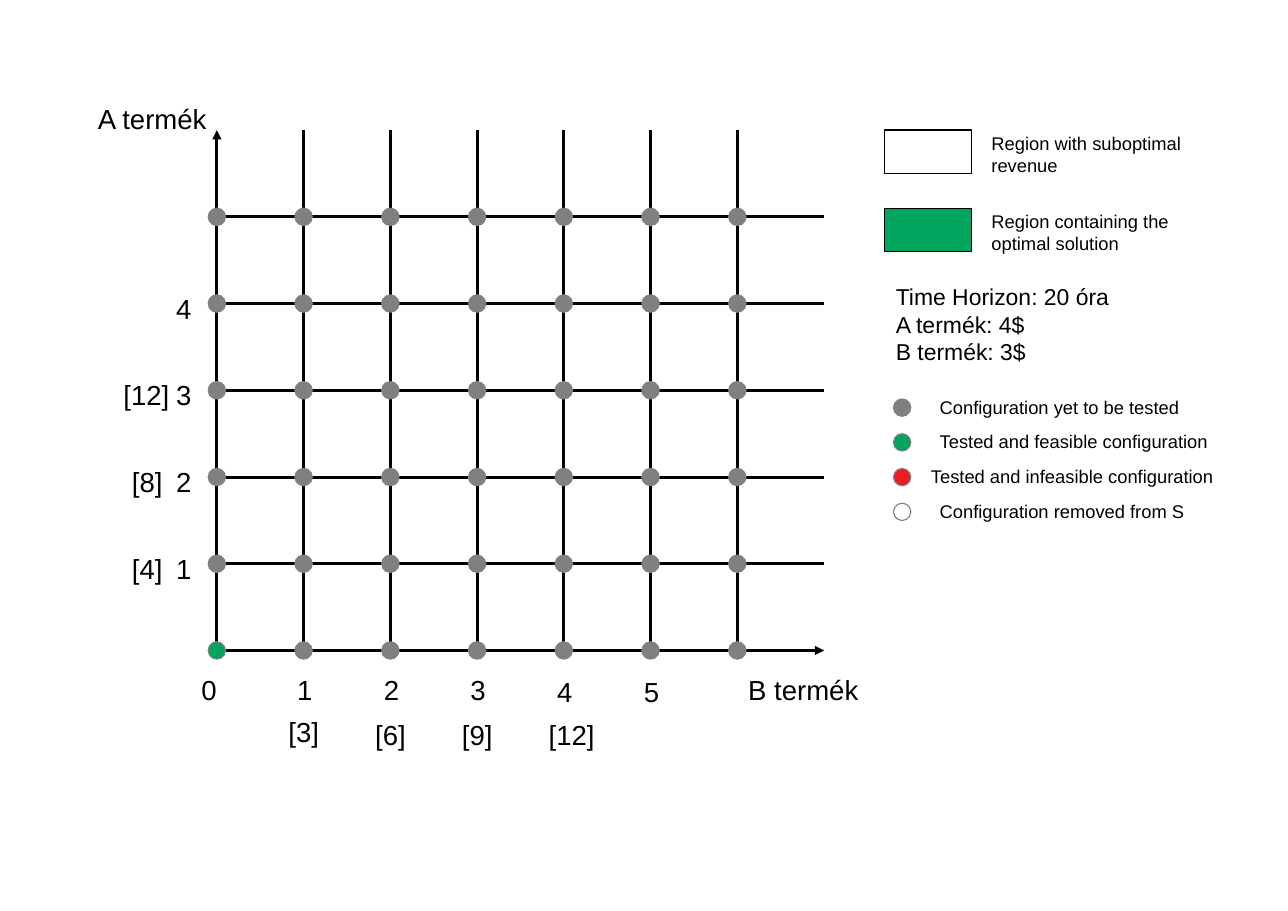
from dataclasses import dataclass

from lxml import etree
from pptx import Presentation
from pptx.dml.color import RGBColor
from pptx.enum.shapes import MSO_CONNECTOR, MSO_SHAPE
from pptx.oxml.ns import qn
from pptx.util import Pt

STRAIGHT = MSO_CONNECTOR.STRAIGHT
ELLIPSE = MSO_SHAPE.OVAL
RECTANGLE = MSO_SHAPE.RECTANGLE


@dataclass(frozen=True)
class Theme:
    font: str = "Arial"
    black: RGBColor = RGBColor(0, 0, 0)
    white: RGBColor = RGBColor(255, 255, 255)
    gray: RGBColor = RGBColor(0x80, 0x80, 0x80)
    green: RGBColor = RGBColor(0x00, 0xA6, 0x5D)
    red: RGBColor = RGBColor(0xED, 0x1C, 0x24)
    axis_size: int = 18
    facts_size: int = 15
    legend_size: int = 12


THEME = Theme()
STEP = 56.69
ORIGIN_X, ORIGIN_Y = 141.73, 425.2
AXIS_TOP, AXIS_RIGHT = 85.04, 538.58
COLUMNS, ROWS = 6, 5
DOT = 11.34

presentation = Presentation()
presentation.slide_width = Pt(841.68)
presentation.slide_height = Pt(595.44)
slide = presentation.slides.add_slide(presentation.slide_layouts[6])


def add_text(left, top, width, height, lines, size):
    frame = slide.shapes.add_textbox(Pt(left), Pt(top), Pt(width), Pt(height)).text_frame
    frame.word_wrap = True
    font_format = {"name": THEME.font, "size": Pt(size)}
    for index, line in enumerate(lines):
        paragraph = frame.paragraphs[0] if index == 0 else frame.add_paragraph()
        run = paragraph.add_run()
        run.text = line
        for attribute, value in font_format.items():
            setattr(run.font, attribute, value)
        run.font.color.rgb = THEME.black


def add_filled(kind, left, top, width, height, fill, outline):
    shape = slide.shapes.add_shape(kind, Pt(left), Pt(top), Pt(width), Pt(height))
    shape.shadow.inherit = False
    shape.fill.solid()
    shape.fill.fore_color.rgb = fill
    shape.line.color.rgb = outline
    shape.line.width = Pt(0)


# Axes and grid lines
vertical = [(ORIGIN_X + n * STEP, ORIGIN_Y, ORIGIN_X + n * STEP, AXIS_TOP, n == 0)
            for n in range(COLUMNS + 1)]
horizontal = [(ORIGIN_X, ORIGIN_Y - n * STEP, AXIS_RIGHT, ORIGIN_Y - n * STEP, n == 0)
              for n in range(ROWS + 1)]
for start_x, start_y, end_x, end_y, is_axis in vertical + horizontal:
    connector = slide.shapes.add_connector(
        STRAIGHT, Pt(start_x), Pt(start_y), Pt(end_x), Pt(end_y))
    connector.line.color.rgb = THEME.black
    connector.line.width = Pt(0)
    if is_axis:
        etree.SubElement(connector.line._get_or_add_ln(), qn("a:tailEnd"), type="triangle")
    etree.SubElement(connector._element.spPr, qn("a:effectLst"))

# Configurations
for column in range(COLUMNS + 1):
    for row in range(ROWS + 1):
        fill = THEME.green if column == row == 0 else THEME.gray
        add_filled(ELLIPSE, ORIGIN_X + column * STEP - DOT / 2,
                   ORIGIN_Y - row * STEP - DOT / 2, DOT, DOT, fill, THEME.gray)

# Axis labels
for left, top, name in [(56.9, 63.4, "A termék"), (481.9, 436.4, "B termék")]:
    add_text(left, top, 96.5, 27.4, [name], THEME.axis_size)
add_text(124.6, 436.4, 28, 27.4, ["0"], THEME.axis_size)
for number, top in enumerate([436.4, 436.4, 436.4, 437.6, 437.6], start=1):
    add_text(ORIGIN_X + number * STEP - 11.4, top, 28, 27.4, [str(number)], THEME.axis_size)
for number, top in enumerate([463.5, 466, 466, 466], start=1):
    add_text(ORIGIN_X + number * STEP - 17, top, 45.4, 27.4,
             [f"[{3 * number}]"], THEME.axis_size)
for number in range(1, 5):
    add_text(108, ORIGIN_Y - number * STEP - 11.4, 28, 27.4, [str(number)], THEME.axis_size)
for number, left in enumerate([79.2, 79.2, 73.6], start=1):
    add_text(left, ORIGIN_Y - number * STEP - 11.4, 45.4, 27.4,
             [f"[{4 * number}]"], THEME.axis_size)

# Region legend
regions = [(85, THEME.white, "Region with suboptimal revenue"),
           (136.1, THEME.green, "Region containing the optimal solution")]
for top, fill, label in regions:
    add_filled(RECTANGLE, 578.3, top, 56.7, 28.35, fill, THEME.black)
    add_text(640.8, top - 2.2, 147.6, 36, [label], THEME.legend_size)

add_text(578.3, 181.4, 181.4, 56.9,
         ["Time Horizon: 20 óra", "A termék: 4$", "B termék: 3$"], THEME.facts_size)

# Configuration legend
configurations = [
    (THEME.gray, 607, "Configuration yet to be tested"),
    (THEME.green, 607, "Tested and feasible configuration"),
    (THEME.red, 601.3, "Tested and infeasible configuration"),
    (THEME.white, 607, "Configuration removed from S"),
]
for index, (fill, left, label) in enumerate(configurations):
    top = 260.8 + index * 22.7
    add_filled(ELLIPSE, 583.9, top, DOT, DOT, fill, THEME.gray)
    add_text(left, top - 5.7, 210, 22.3, [label], THEME.legend_size)

presentation.save("out.pptx")
